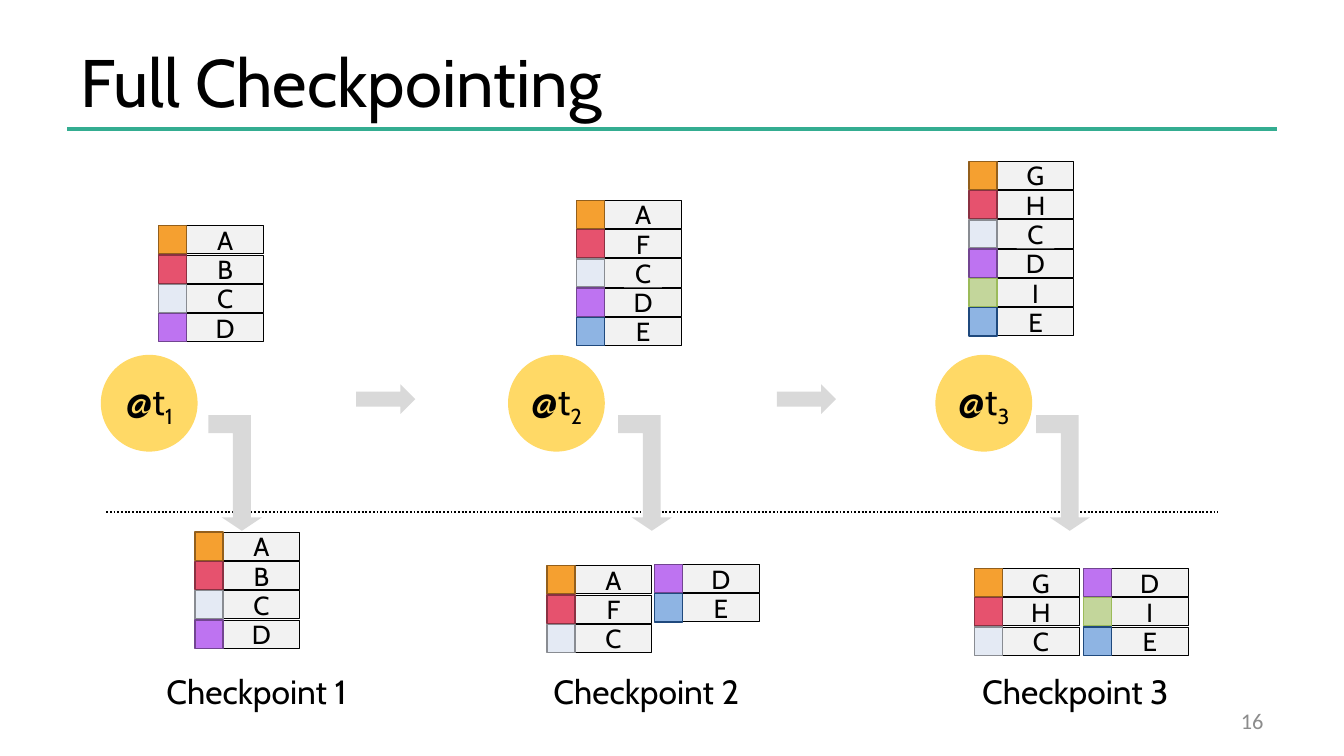
from lxml.etree import SubElement
from pptx import Presentation
from pptx.dml.color import RGBColor
from pptx.enum.dml import MSO_LINE
from pptx.enum.shapes import MSO_CONNECTOR, MSO_SHAPE as Shape
from pptx.enum.text import MSO_ANCHOR as Anchor, MSO_AUTO_SIZE as Fit, PP_ALIGN as Align
from pptx.oxml.ns import qn
from pptx.util import Inches, Pt

TITLE = "Full Checkpointing"
PAGE = "16"

# Each stack: left, top, row letters
STATES = [(1.18, 1.68, "ABCD"), (4.29, 1.49, "AFCDE"), (7.21, 1.2, "GHCDIE")]
SAVED = [
    (1.45, 3.96, "ABCD"),
    (4.07, 4.21, "AFC"), (4.87, 4.2, "DE"),
    (7.25, 4.23, "GHC"), (8.06, 4.23, "DIE"),
]
# Each step: circle left, bent arrow left, label left, label width
STEPS = [(0.75, 1.55, 1.14, 1.59), (3.78, 4.6, 4.02, 1.63), (6.96, 7.71, 7.21, 1.63)]
NEXT = [2.65, 5.78]

# Row letters: fill and outline of their key square
KEYS = {
    "AG": ("F5A030", "935F1C"),
    "BFH": ("E6526E", "8A3142"),
    "C": ("E4EAF4", "898C92"),
    "D": ("BE73F1", "724591"),
    "I": ("C3D69B", "9BBB59"),
    "E": ("8EB4E3", "1F497D"),
}
TINTS = {letter: pair for group, pair in KEYS.items() for letter in group}
ROW, CELL = 0.21, 0.57
PITCH = 1.09 / 5  # the tallest stack has five steps
BLACK, GREY = "000000", "D9D9D9"


def rgb(code):
    return RGBColor.from_string(code)


def write(shape, text, size, align=Align.LEFT, anchor=Anchor.TOP,
          font="Cabin", color=BLACK):
    frame = shape.text_frame
    frame.text = text
    frame.vertical_anchor = anchor
    para = frame.paragraphs[0]
    para.alignment = align
    style(para.runs[0], size, font, color)
    return frame


def style(run, size, font="Cabin", color=BLACK):
    run.font.size = Pt(size)
    run.font.name = font
    run.font.color.rgb = rgb(color)


def block(kind, x, y, w, h, fill, edge=None, width=0.75):
    shape = slide.shapes.add_shape(kind, Inches(x), Inches(y), Inches(w), Inches(h))
    shape.shadow.inherit = False
    shape.fill.solid()
    shape.fill.fore_color.rgb = rgb(fill)
    if edge:
        shape.line.color.rgb = rgb(edge)
        shape.line.width = Pt(width)
    else:
        shape.line.fill.background()
    return shape


def label(x, y, w, h):
    return slide.shapes.add_textbox(Inches(x), Inches(y), Inches(w), Inches(h))


def rule(x1, x2, y, color, width):
    line = slide.shapes.add_connector(
        MSO_CONNECTOR.STRAIGHT, Inches(x1), Inches(y), Inches(x2), Inches(y))
    line.line.color.rgb = rgb(color)
    line.line.width = Pt(width)
    SubElement(line._element.spPr, qn("a:effectLst"))
    return line


def stack(x, y, letters):
    """Draw one row per letter: a lettered cell with its key square."""
    for i, letter in enumerate(letters):
        top = y + i * PITCH
        cell = block(Shape.RECTANGLE, x + ROW, top, CELL, ROW, "F2F2F2", BLACK, 0.5)
        write(cell, letter, 14, Align.CENTER, Anchor.MIDDLE)
        block(Shape.RECTANGLE, x, top, ROW, ROW, *TINTS[letter])


def clock(x, num):
    """Draw the circle that names a point in time."""
    disc = block(Shape.OVAL, x, 2.64, 0.72, 0.72, "FFD966")
    frame = write(disc, "@t", 20, Align.CENTER, Anchor.MIDDLE)
    frame.margin_left = frame.margin_right = 0
    frame.margin_top = frame.margin_bottom = 0
    frame.word_wrap = False
    sub = frame.paragraphs[0].add_run()
    sub.text = str(num)
    style(sub, 20)
    sub.font._element.set("baseline", "-25000")


def drop(x):
    """Draw the bent arrow that leads down to a checkpoint."""
    arrow = block(Shape.BENT_UP_ARROW, x, 3.09, 0.4, 0.86, GREY)
    for i, part in enumerate((1 / 3, 3 / 8, 1 / 4)):
        arrow.adjustments[i] = part
    arrow._element.spPr.xfrm.set("flipV", "1")


deck = Presentation()
deck.slide_width = Inches(10)
deck.slide_height = deck.slide_width * 9 // 16
slide = deck.slides.add_slide(deck.slide_layouts[5])

rule(0.5, 9.5, 0.96, "34AD91", 2)
title = slide.shapes.title
title.left, title.top = Inches(0.5), Inches(0.23)
title.width, title.height = Inches(9), Inches(0.74)
write(title, TITLE, 36, anchor=Anchor.MIDDLE).auto_size = Fit.NONE
page = label(7.17, 5.21, 2.33, 0.3)
write(page, PAGE, 12, Align.RIGHT, Anchor.MIDDLE, "Calibri", "8C8C8C").word_wrap = True

for state in STATES:
    stack(*state)
rule(0.79, 9.06, 3.81, BLACK, 1).line.dash_style = MSO_LINE.ROUND_DOT
for num, (disc, bend, left, wide) in enumerate(STEPS, 1):
    clock(disc, num)
    drop(bend)
    name = write(label(left, 4.94, wide, 0.4), f"Checkpoint {num}", 18)
    name.word_wrap = False
    name.auto_size = Fit.SHAPE_TO_FIT_TEXT
for x in NEXT:
    block(Shape.RIGHT_ARROW, x, 2.86, 0.44, 0.22, GREY)
for saved in SAVED:
    stack(*saved)

deck.save("out.pptx")
